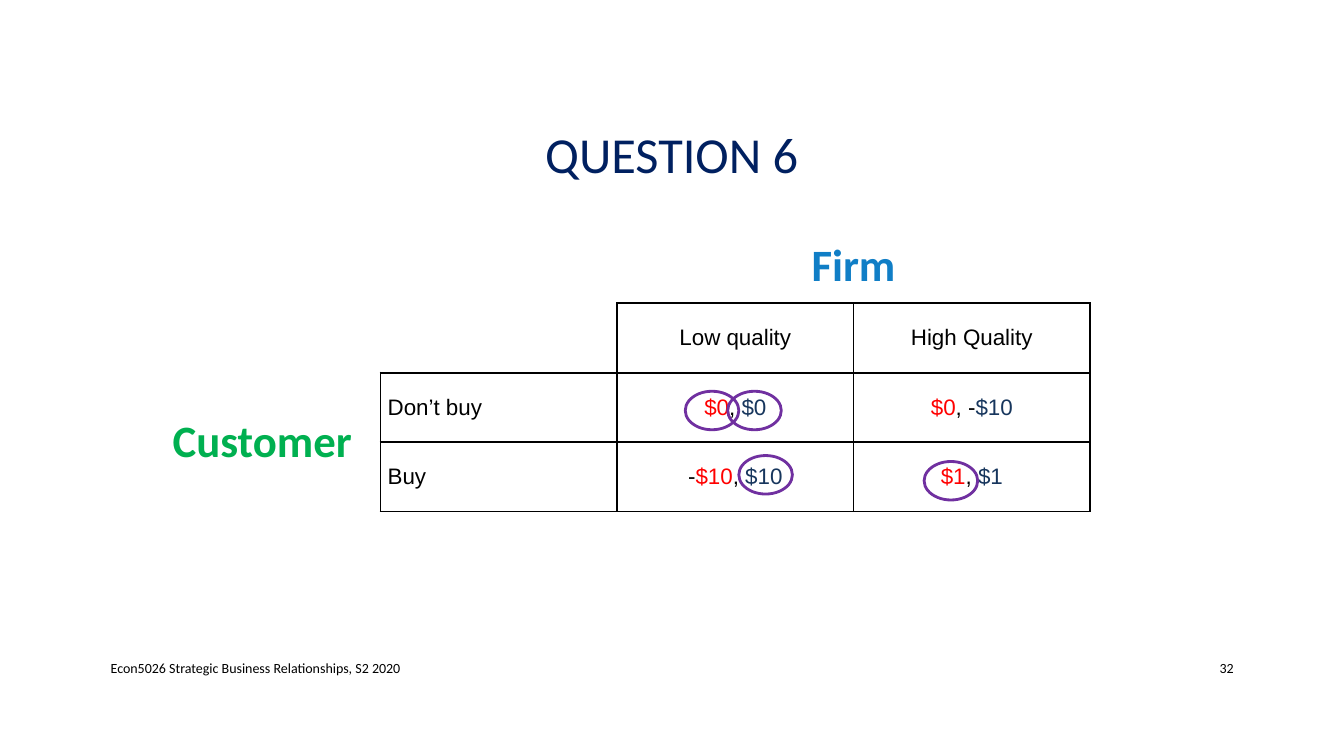
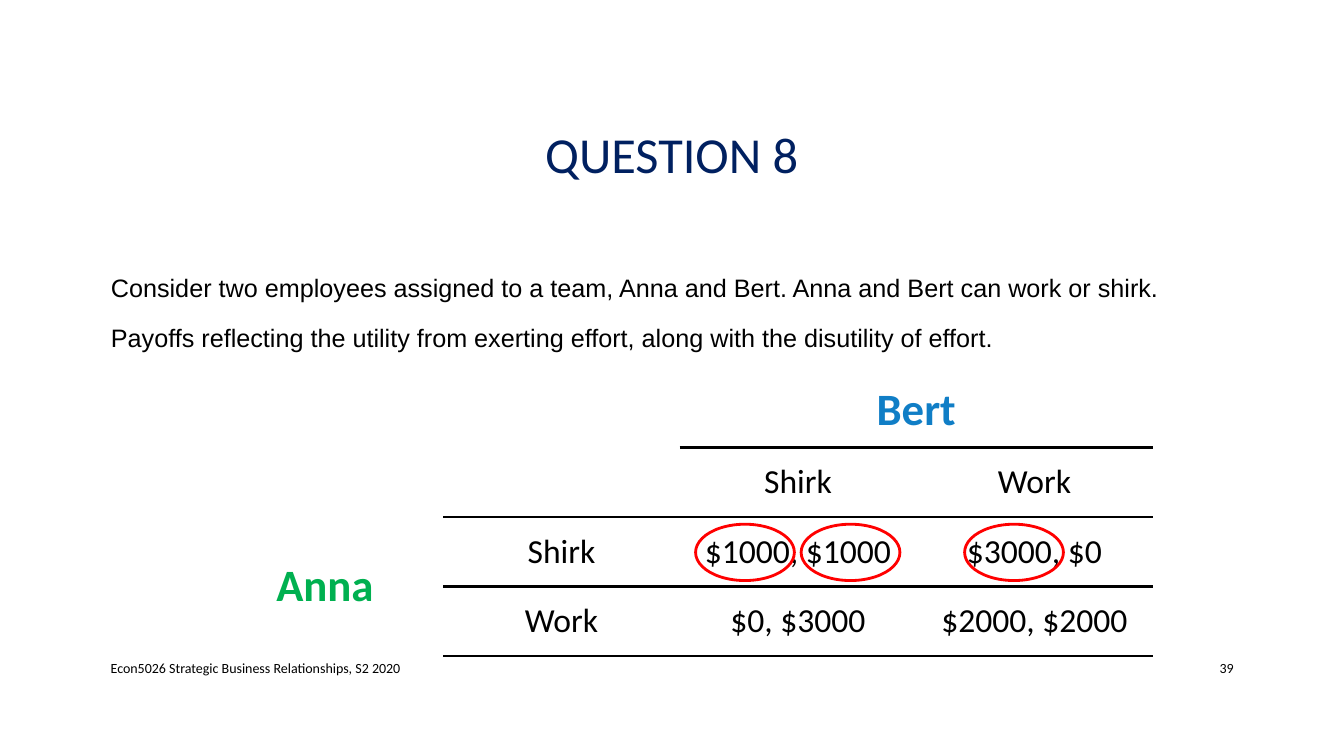
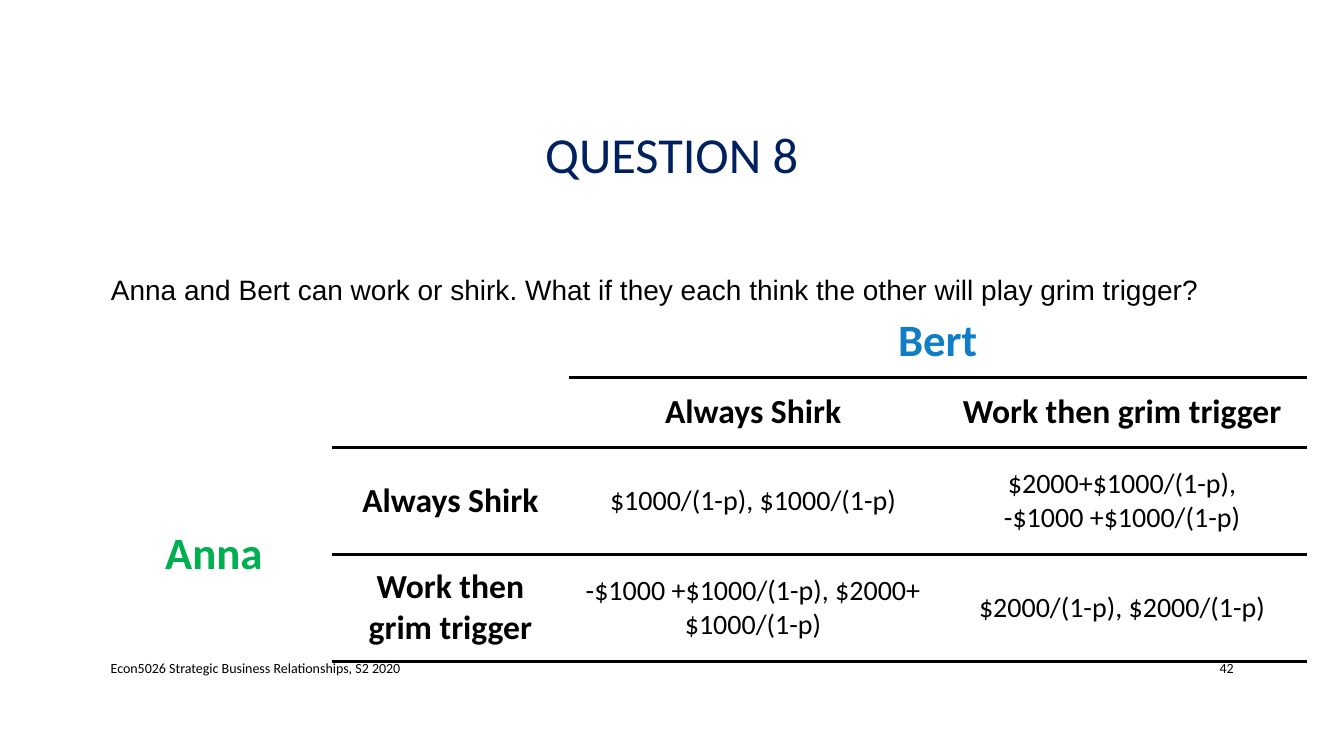
from pptx import Presentation
from pptx.dml.color import RGBColor
from pptx.enum.shapes import MSO_SHAPE
from pptx.enum.text import MSO_ANCHOR, MSO_AUTO_SIZE, PP_ALIGN
from pptx.oxml.ns import qn
from pptx.util import Cm, Pt
from lxml.etree import SubElement

COLOURS = {
    "black": "000000", "title": "002060", "column": "107EC6", "row": "00B050",
    "red": "FF0000", "navy": "17365D", "purple": "7030A0",
}
FOOTER = "Econ5026 Strategic Business Relationships, S2 2020"
NO_STYLE = "{2D5ABB26-0587-4C30-8999-92F81FD0307C}"
LEFT, CENTRE, RIGHT = PP_ALIGN.LEFT, PP_ALIGN.CENTER, PP_ALIGN.RIGHT
CONTENT_LEFT, CONTENT_WIDTH = 2.54, 28.78
COL, ROW = 5.96, 1.75


def rgb(name):
    """Return the named colour."""
    return RGBColor.from_string(COLOURS[name])


def font(size, name="Calibri", bold=False):
    """Return the format values of a font."""
    return {"size": Pt(size), "name": name, "bold": bold}


def place(shape, *box):
    """Move and size a shape, in centimetres."""
    for key, value in zip(("left", "top", "width", "height"), box):
        setattr(shape, key, Cm(value))


def write(tf, lines, fmt, colour="black", **para):
    """Write lines, each a string or a list of (text, colour) runs."""
    for i, line in enumerate(lines):
        p = tf.add_paragraph() if i else tf.paragraphs[0]
        for key, value in para.items():
            setattr(p, key, value)
        for text, shade in [(line, colour)] if isinstance(line, str) else line:
            r = p.add_run()
            r.text = text
            for key, value in fmt.items():
                setattr(r.font, key, value)
            r.font.color.rgb = rgb(shade)


def add_label(s, text, align, left, width):
    """Add a small text to the bottom line of the slide."""
    tf = s.shapes.add_textbox(Cm(left), Cm(16.33), Cm(width), Cm(1.02)).text_frame
    tf.word_wrap = True
    tf.vertical_anchor = MSO_ANCHOR.MIDDLE
    write(tf, [text], font(10), alignment=align)


def add_slide(prs, title, number, layout):
    """Add a slide with its title, footer and number."""
    s = prs.slides.add_slide(prs.slide_layouts[layout])
    place(s.shapes.title, CONTENT_LEFT, 1.73, CONTENT_WIDTH, 4.45)
    tf = s.shapes.title.text_frame
    tf.auto_size = MSO_AUTO_SIZE.NONE
    tf.vertical_anchor = MSO_ANCHOR.MIDDLE
    write(tf, [title], font(36), "title", alignment=CENTRE, line_spacing=0.9)
    add_label(s, FOOTER, LEFT, CONTENT_LEFT, 18.54)
    add_label(s, number, RIGHT, 29.21, 2.13)
    return s


def add_body(s, lines, size):
    """Fill the body placeholder with plain paragraphs."""
    body = s.placeholders[1]
    place(body, CONTENT_LEFT, 6.58, CONTENT_WIDTH, 9.5)
    tf = body.text_frame
    tf.auto_size = MSO_AUTO_SIZE.NONE
    write(tf, lines, font(size, "Arial"), alignment=LEFT, line_spacing=1.2)
    for i, p in enumerate(tf.paragraphs):
        p.space_before = Pt(10 if i else 0)
        pPr = p._p.get_or_add_pPr()
        pPr.set("marL", "0")
        pPr.set("indent", "0")
        SubElement(pPr, qn("a:buNone"))


def add_borders(cell, sides, width):
    """Draw black borders on the given sides of a cell."""
    tcPr = cell._tc.get_or_add_tcPr()
    for i, side in enumerate(sides):
        ln = SubElement(tcPr, qn(f"a:ln{side}"), w=str(Pt(width)))
        fill = SubElement(ln, qn("a:solidFill"))
        SubElement(fill, qn("a:srgbClr"), val=COLOURS["black"])
        tcPr.remove(ln)
        tcPr.insert(i, ln)


def add_game(s, at, cols, rows, players, moves, payoffs, head, body,
             sides="TB", width=2.25, side_align=CENTRE, margins=None):
    """Add a payoff table for a row player and a column player."""
    box = [Cm(v) for v in (*at, sum(cols), sum(rows))]
    tbl = s.shapes.add_table(len(rows), len(cols), *box).table
    tbl.first_row = tbl.horz_banding = False
    tbl._tbl.tblPr.find(qn("a:tableStyleId")).text = NO_STYLE
    for col, size in zip(tbl.columns, cols):
        col.width = Cm(size)
    for row, size in zip(tbl.rows, rows):
        row.height = Cm(size)
    for cell in tbl.iter_cells():
        cell.fill.background()
    tbl.cell(0, 2).merge(tbl.cell(0, 3))
    tbl.cell(2, 0).merge(tbl.cell(3, 0))
    name = font(32, bold=True)
    write(tbl.cell(0, 2).text_frame, [players[1]], name, "column", alignment=CENTRE)
    write(tbl.cell(2, 0).text_frame, [players[0]], name, "row", alignment=CENTRE)
    tbl.cell(2, 0).vertical_anchor = MSO_ANCHOR.MIDDLE
    entries = {(1, 2 + i): ([move], head, CENTRE) for i, move in enumerate(moves[1])}
    for i, (move, line) in enumerate(zip(moves[0], payoffs)):
        entries[2 + i, 1] = ([move], head, side_align)
        for j, payoff in enumerate(line):
            entries[2 + i, 2 + j] = (payoff, body, CENTRE)
    for (i, j), (lines, fmt, align) in entries.items():
        cell = tbl.cell(i, j)
        cell.vertical_anchor = MSO_ANCHOR.MIDDLE
        for key, value in (margins or {}).items():
            setattr(cell, f"margin_{key}", Cm(value))
        write(cell.text_frame, lines, fmt, alignment=align)
        add_borders(cell, sides, width)


def add_rings(s, spots, size, colour):
    """Ring the best replies with open ellipses."""
    for spot in spots:
        ring = s.shapes.add_shape(MSO_SHAPE.OVAL, *[Cm(v) for v in (*spot, *size)])
        ring.shadow.inherit = False
        ring.fill.background()
        ring.line.color.rgb = rgb(colour)
        ring.line.width = Pt(2)


def split(first, second, sign="", second_sign=""):
    """Return a payoff pair with one colour for each player."""
    runs = [(sign, "black"), (first, "red"), (f", {second_sign}", "black"), (second, "navy")]
    return [[run for run in runs if run[0]]]


def build_quality(prs):
    """Build the quality game between customer and firm."""
    s = add_slide(prs, "QUESTION 6", "32", 5)
    arial = font(16, "Arial")
    payoffs = [[split("$0", "$0"), split("$0", "$10", second_sign="-")],
               [split("$10", "$10", sign="-"), split("$1", "$1")]]
    add_game(s, (3.63, 5.89), [COL] * 4, [ROW] * 4, ("Customer", "Firm"),
             (["Don’t buy", "Buy"], ["Low quality", "High Quality"]), payoffs,
             arial, arial, sides="LRTB", width=1.5, side_align=LEFT,
             margins={"left": 0.18, "right": 0.18, "top": 0, "bottom": 0})
    spots = [(17.27, 9.86), (23.29, 11.63), (18.34, 9.86), (18.62, 11.48)]
    add_rings(s, spots, (1.35, 0.97), "purple")


def build_team(prs):
    """Build the one-shot team game."""
    s = add_slide(prs, "QUESTION 8", "39", 1)
    add_body(s, [
        "Consider two employees assigned to a team, Anna and Bert. Anna and Bert can work or shirk.",
        "Payoffs reflecting the utility from exerting effort, along with the disutility of effort.",
    ], 18)
    moves = ["Shirk", "Work"]
    payoffs = [[["$1000, $1000"], ["$3000, $0"]],
               [["$0, $3000"], ["$2000, $2000"]]]
    add_game(s, (5.21, 9.53), [COL] * 4, [ROW] * 4, ("Anna", "Bert"),
             (moves, moves), payoffs, font(24), font(24))
    add_rings(s, [(left, 13.21) for left in (17.53, 24.31, 20.19)], (2.49, 1.42), "red")


def build_repeated(prs):
    """Build the repeated team game."""
    s = add_slide(prs, "QUESTION 8", "42", 1)
    add_body(s, ["Anna and Bert can work or shirk. What if they each think "
                 "the other will play grim trigger?"], 20)
    moves = ["Always Shirk", "Work then grim trigger"]
    payoffs = [[["$1000/(1-p), $1000/(1-p)"], ["$2000+$1000/(1-p),", "-$1000 +$1000/(1-p)"]],
               [["-$1000 +$1000/(1-p), $2000+$1000/(1-p)"], ["$2000/(1-p), $2000/(1-p)"]]]
    add_game(s, (2.41, 7.77), [COL] * 2 + [9.3] * 2, [ROW] * 2 + [2.7] * 2,
             ("Anna", "Bert"), (moves, moves), payoffs, font(24, bold=True), font(20))


def main():
    """Build the deck and save it."""
    prs = Presentation()
    prs.slide_width, prs.slide_height = Cm(33.87), Cm(19.05)
    for build in (build_quality, build_team, build_repeated):
        build(prs)
    prs.save("out.pptx")


if __name__ == "__main__":
    main()
